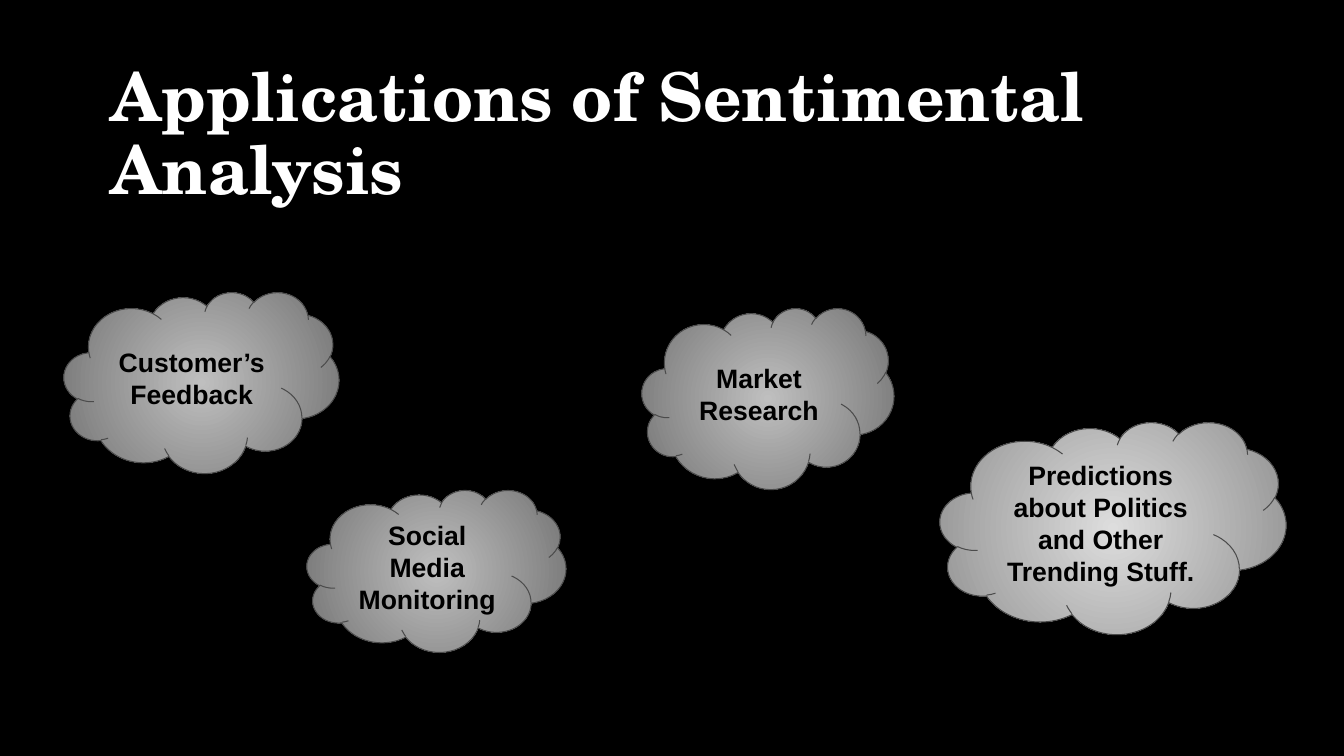
from lxml import etree
from pptx import Presentation
from pptx import util as u
from pptx.dml.color import RGBColor
from pptx.enum import shapes, text
from pptx.oxml.ns import qn

PX = 914400 / 100.8  # EMU per px
COLORS = {
    "background": "000000",
    "title": "FFFFFF",
    "label": "000000",
    "outline": "4B4B4B",
    "grey_center": "BFBFBF",
    "grey_edge": "737373",
    "light_center": "DDDDDD",
    "light_edge": "919191",
}
GREY = ("grey_center", "grey_edge")
LIGHT = ("light_center", "light_edge")

# Label, box (left, top, width, height), gradient
CLOUDS = [
    ("Customer’s Feedback", (64, 292, 275, 181), GREY),
    ("Social Media Monitoring", (307, 490, 259, 162), GREY),
    ("Market Research", (642, 308, 252, 181), GREY),
    ("Predictions about Politics and Other Trending Stuff.", (940, 422, 346, 212), LIGHT),
]


def px(n):
    return u.Emu(round(n * PX))


def rgb(name):
    return RGBColor.from_string(COLORS[name])


def write(sp, words, *, font, size, color, align, inset, spacing=None):
    tf = sp.text_frame
    tf.word_wrap = True
    tf.auto_size = text.MSO_AUTO_SIZE.NONE
    tf.vertical_anchor = text.MSO_ANCHOR.MIDDLE
    tf.margin_left = tf.margin_right = px(inset[0])
    tf.margin_top = tf.margin_bottom = px(inset[1])
    p = tf.paragraphs[0]
    p.alignment = align
    p.line_spacing = spacing
    r = p.add_run()
    r.text = words
    r.font.name = font
    r.font.size = u.Pt(size)
    r.font.bold = True
    r.font.color.rgb = rgb(color)


def radial_fill(sp, center, edge):
    sp.fill.gradient()
    for stop, name in zip(sp.fill.gradient_stops, (center, edge)):
        stop.color.rgb = rgb(name)
    # Swap the linear direction for a circle around the middle
    grad = sp.element.spPr.find(qn("a:gradFill"))
    grad.remove(grad.find(qn("a:lin")))
    circle = etree.SubElement(grad, qn("a:path"), {"path": "circle"})
    etree.SubElement(circle, qn("a:fillToRect"), dict.fromkeys("ltrb", "50000"))


def add_cloud(s, label, box, gradient):
    sp = s.shapes.add_shape(shapes.MSO_SHAPE.CLOUD, *map(px, box))
    sp.shadow.inherit = False
    radial_fill(sp, *gradient)
    sp.line.color.rgb = rgb("outline")
    sp.line.width = u.Pt(0.75)
    write(sp, label, font="Arial", size=19, color="label",
          align=text.PP_ALIGN.CENTER, inset=(13, 13))


def add_title(s, words):
    sp = s.shapes.title
    sp.left, sp.top, sp.width, sp.height = map(px, (101, 48, 1142, 176))
    write(sp, words, font="TeX Gyre Schola", size=48, color="title",
          align=text.PP_ALIGN.LEFT, inset=(10, 5), spacing=0.9)


def main():
    prs = Presentation()
    prs.slide_width, prs.slide_height = px(1344), px(756)

    # Title Only layout on a black background
    s = prs.slides.add_slide(prs.slide_layouts[5])
    s.background.fill.solid()
    s.background.fill.fore_color.rgb = rgb("background")

    add_title(s, "Applications of Sentimental Analysis")
    for label, box, gradient in CLOUDS:
        add_cloud(s, label, box, gradient)

    prs.save("out.pptx")


if __name__ == "__main__":
    main()
